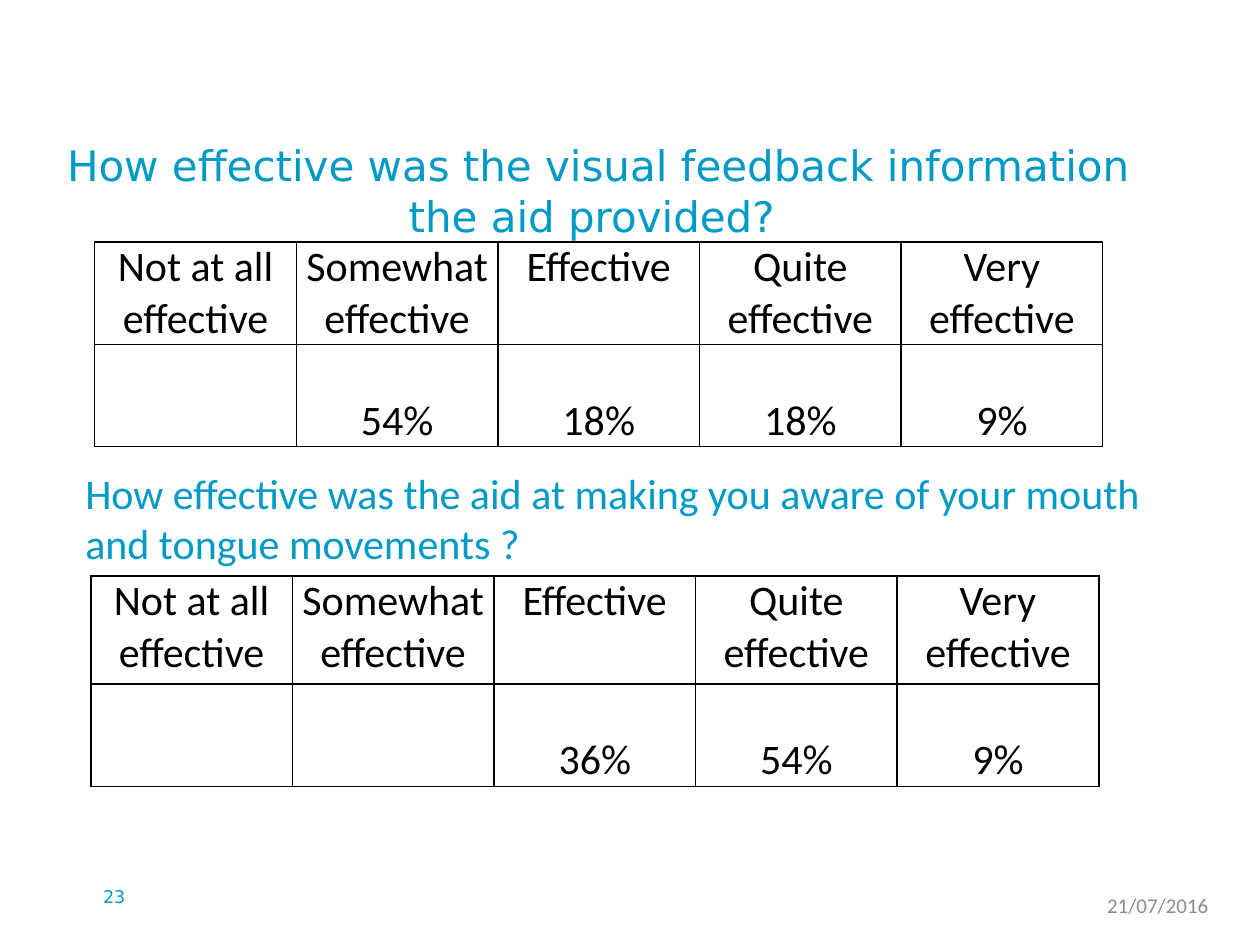
from pptx import Presentation
from pptx.dml.color import RGBColor
from pptx.enum.text import MSO_ANCHOR as Anchor, PP_ALIGN as Align
from pptx.oxml import parse_xml
from pptx.oxml.ns import nsdecls
from pptx.util import Cm, Pt

THEME = {
    "accent": RGBColor.from_string("009AC7"),
    "muted": RGBColor.from_string("8C8C8C"),
    "ink": RGBColor.from_string("000000"),
    "paper": RGBColor.from_string("FFFFFF"),
    "body_font": "Calibri",
    "title_font": "DejaVu Sans",
    "large": Pt(24),
    "date": Pt(12),
    "number": Pt(10),
    "border": Pt(1),
}


def write_text(frame, text, align, font, size, color):
    frame.text = text
    paragraph = frame.paragraphs[0]
    paragraph.alignment = align
    run_font = paragraph.runs[0].font if paragraph.runs else paragraph.font
    for name, value in {"name": font, "size": size, "bold": False}.items():
        setattr(run_font, name, value)
    run_font.color.rgb = color


def add_borders(cell):
    properties = cell._tc.get_or_add_tcPr()
    for side in ("lnL", "lnR", "lnT", "lnB"):
        properties.append(parse_xml(
            f'<a:{side} {nsdecls("a")} w="{THEME["border"]}"><a:solidFill>'
            f'<a:srgbClr val="{THEME["ink"]}"/></a:solidFill></a:{side}>'))


presentation = Presentation()
presentation.slide_width, presentation.slide_height = Cm(25.4), Cm(19.05)
slide = presentation.slides.add_slide(presentation.slide_layouts[5])

title = slide.shapes.title
placement = {"left": Cm(0.56), "top": Cm(2.69), "width": Cm(23.01), "height": Cm(2.01)}
for name, value in placement.items():
    setattr(title, name, value)
title.text_frame.vertical_anchor = Anchor.TOP
write_text(title.text_frame,
           "How effective was the visual feedback information the aid provided? ",
           Align.CENTER, THEME["title_font"], THEME["large"], THEME["accent"])

text_boxes = [
    ("How effective was the aid at making you aware of your mouth and tongue movements ?",
     (1.47, 9.3, 23.01, 2.31), Anchor.TOP, Align.LEFT, "body_font", "large", "accent"),
    ("23", (1.83, 17.73, 1.78, 1.32), Anchor.TOP, Align.LEFT,
     "title_font", "number", "accent"),
    ("21/07/2016", (18.69, 17.73, 5.92, 1.02), Anchor.MIDDLE, Align.RIGHT,
     "body_font", "date", "muted"),
]
for text, box, anchor, align, font, size, color in text_boxes:
    frame = slide.shapes.add_textbox(*map(Cm, box)).text_frame
    frame.word_wrap = True
    frame.vertical_anchor = anchor
    write_text(frame, text, align, THEME[font], THEME[size], THEME[color])

ratings = ["Not at all effective", "Somewhat effective", "Effective",
           "Quite effective", "Very effective"]
answer_tables = [
    (1.91, 4.88, (2.06, 2.06), ["", "54%", "18%", "18%", "9%"]),
    (1.83, 11.61, (2.18, 2.06), ["", "", "36%", "54%", "9%"]),
]
cell_format = {"margin_left": Cm(0.18), "margin_right": Cm(0.18),
               "margin_top": 0, "margin_bottom": 0}
for left, top, heights, shares in answer_tables:
    table = slide.shapes.add_table(2, len(ratings), Cm(left), Cm(top),
                                   Cm(20.32), Cm(sum(heights))).table
    table.first_row = table.horz_banding = False
    for row, height, texts, anchor in zip(table.rows, heights, (ratings, shares),
                                          (Anchor.TOP, Anchor.BOTTOM)):
        row.height = Cm(height)
        for cell, text in zip(row.cells, texts):
            for name, value in cell_format.items():
                setattr(cell, name, value)
            cell.vertical_anchor = anchor
            add_borders(cell)
            cell.fill.solid()
            cell.fill.fore_color.rgb = THEME["paper"]
            write_text(cell.text_frame, text, Align.CENTER,
                       THEME["body_font"], THEME["large"], THEME["ink"])

presentation.save("out.pptx")
